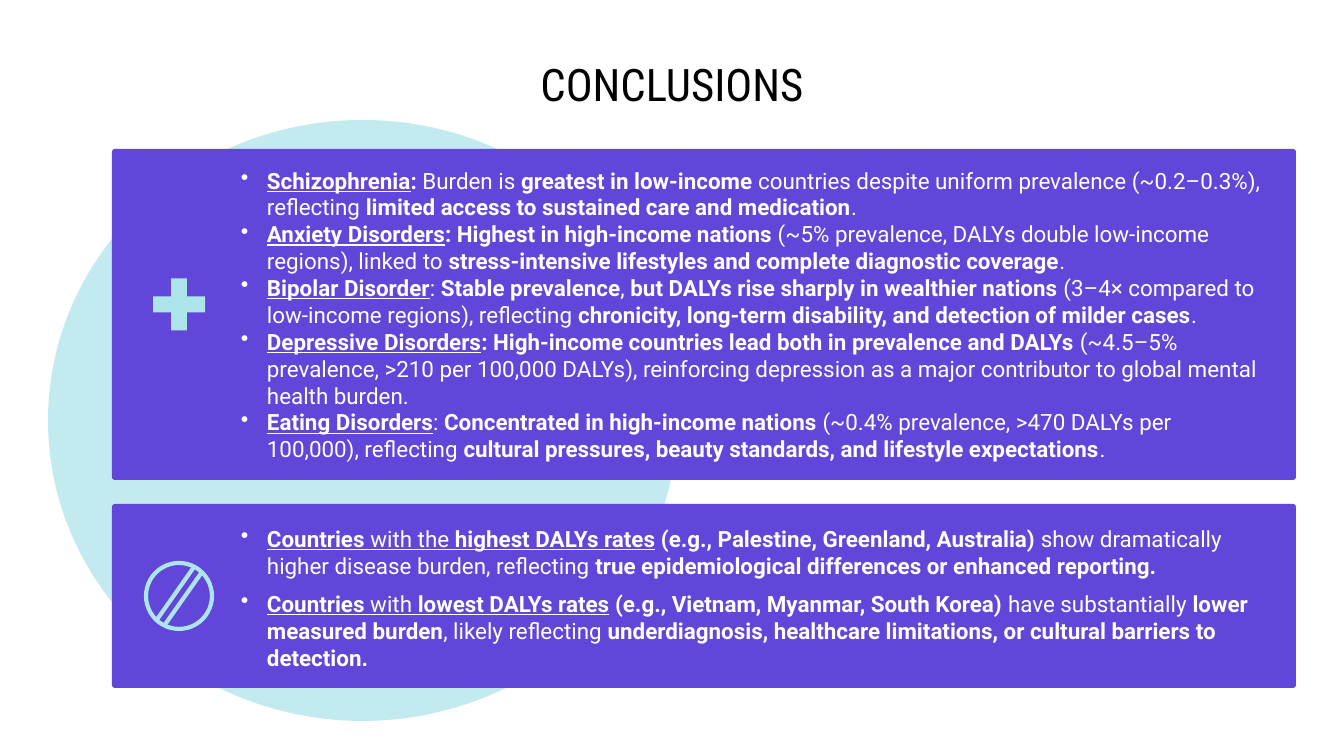
from pptx import Presentation
from pptx.dml.color import RGBColor
from pptx.enum.shapes import MSO_CONNECTOR, MSO_SHAPE
from pptx.enum.text import MSO_ANCHOR, PP_ALIGN
from pptx.oxml.ns import qn
from pptx.util import Emu, Pt
from lxml import etree

OVAL, ROUND, CROSS = MSO_SHAPE.OVAL, MSO_SHAPE.ROUNDED_RECTANGLE, MSO_SHAPE.CROSS
STRAIGHT = MSO_CONNECTOR.STRAIGHT
MIDDLE = MSO_ANCHOR.MIDDLE
LEFT, CENTER = PP_ALIGN.LEFT, PP_ALIGN.CENTER

PX = 914400 / 134.4
COLORS = {"ink": "000000", "white": "FFFFFF", "disc": "C3EBEF",
          "card": "6146D9", "icon": "ACE5EA"}
INSET = 13
INDENT = 26

# Each paragraph is a list of (style, words): b is bold, u is underlined.
DISORDERS = [
    [("bu", "Schizophrenia"), ("b", ": "), ("", "Burden is "),
     ("b", "greatest in low-income "),
     ("", "countries despite uniform prevalence (~0.2–0.3%), reflecting "),
     ("b", "limited access to sustained care and medication"), ("", ".")],
    [("bu", "Anxiety Disorders"), ("b", ": Highest in high-income nations "),
     ("", "(~5% prevalence, DALYs double low-income regions), linked to "),
     ("b", "stress-intensive lifestyles and complete diagnostic coverage"),
     ("", ".")],
    [("bu", "Bipolar Disorder"), ("", ": "), ("b", "Stable prevalence"),
     ("", ", "), ("b", "but DALYs rise sharply in wealthier nations "),
     ("", "(3–4× compared to low-income regions), reflecting "),
     ("b", "chronicity, long-term disability, and detection of milder cases"),
     ("", ".")],
    [("bu", "Depressive Disorders"),
     ("b", ": High-income countries lead both in prevalence and DALYs "),
     ("", "(~4.5–5% prevalence, >210 per 100,000 DALYs), reinforcing "
          "depression as a major contributor to global mental health burden.")],
    [("bu", "Eating Disorders"), ("", ": "),
     ("b", "Concentrated in high-income nations "),
     ("", "(~0.4% prevalence, >470 DALYs per 100,000), reflecting "),
     ("b", "cultural pressures, beauty standards, and lifestyle expectations"),
     ("", ".")],
]
COUNTRIES = [
    [("bu", "Countries "), ("u", "with the "), ("bu", "highest DALYs rates"),
     ("b", " (e.g., Palestine, Greenland, Australia) "),
     ("", "show dramatically higher disease burden, reflecting "),
     ("b", "true epidemiological differences or enhanced reporting.")],
    [("bu", "Countries"), ("u", " with "), ("bu", "lowest DALYs rates"),
     ("b", " (e.g., Vietnam, Myanmar, South Korea) "),
     ("", "have substantially "), ("b", "lower measured burden"),
     ("", ", likely reflecting "),
     ("b", "underdiagnosis, healthcare limitations, or cultural barriers "
           "to detection.")],
]


def px(n):
    return Emu(round(n * PX))


def rgb(name):
    return RGBColor.from_string(COLORS[name])


def add_shape(slide, kind, box, fill=None, line=None, adjust=None):
    shape = slide.shapes.add_shape(kind, *map(px, box))
    shape.shadow.inherit = False
    if fill:
        shape.fill.solid()
        shape.fill.fore_color.rgb = rgb(fill)
    else:
        shape.fill.background()
    if line:
        shape.line.color.rgb = rgb(line)
        shape.line.width = Pt(2.25)
    else:
        shape.line.fill.background()
    if adjust is not None:
        shape.adjustments[0] = adjust
    return shape


def add_bullet(para, color):
    props = para._p.get_or_add_pPr()
    props.set("marL", str(px(INDENT)))
    props.set("indent", str(-px(INDENT)))
    tint = etree.SubElement(props, qn("a:buClr"))
    etree.SubElement(tint, qn("a:srgbClr"), val=COLORS[color])
    etree.SubElement(props, qn("a:buChar"), char="•")


def add_text(slide, box, paras, font="Roboto", size=12, color="white",
             align=LEFT, bullet=False, after=0):
    frame = slide.shapes.add_textbox(*map(px, box)).text_frame
    frame.word_wrap = True
    frame.vertical_anchor = MIDDLE
    frame.margin_left = frame.margin_right = px(INSET)
    frame.margin_top = frame.margin_bottom = px(INSET)
    for i, runs in enumerate(paras):
        para = frame.add_paragraph() if i else frame.paragraphs[0]
        if bullet:
            add_bullet(para, color)
        para.alignment = align
        para.space_after = Pt(after)
        for style, words in runs:
            run = para.add_run()
            run.text = words
            run.font.name = font
            run.font.size = Pt(size)
            run.font.color.rgb = rgb(color)
            run.font.bold = "b" in style
            run.font.underline = "u" in style


def add_line(slide, start, end, color):
    line = slide.shapes.add_connector(STRAIGHT, *map(px, start + end))
    line.line.color.rgb = rgb(color)
    line.line.width = Pt(2.25)
    etree.SubElement(line._element.spPr, qn("a:effectLst"))


def draw_plus(slide, x, y):
    """Draw a plus centred on x, y."""
    size, bar = 52, 16
    add_shape(slide, CROSS, (x - size / 2, y - size / 2, size, size),
              fill="icon", adjust=(size - bar) / 2 / size)


def draw_pill(slide, x, y):
    """Draw a scored tablet centred on x, y."""
    size = 66
    add_shape(slide, OVAL, (x - size / 2, y - size / 2, size, size), line="icon")
    for dx, dy in ((-4, -2), (4, 3)):
        add_line(slide, (x + dx - 19, y + dy + 27),
                 (x + dx + 19, y + dy - 27), "icon")


def draw_card(slide, box, paras, icon, lift=0, drop=0, after=0):
    """Draw a card; lift raises its icon, drop lowers its text."""
    x, y, w, h = box
    add_shape(slide, ROUND, box, fill="card", adjust=3 / h)
    add_text(slide, (x + 116, y + drop, w - 136, h), paras,
             bullet=True, after=after)
    icon(slide, x + 67, y + h / 2 - lift)


def draw_title(slide, box, words):
    add_text(slide, box, [[("", words)]], font="Roboto Condensed", size=24,
             color="ink", align=CENTER)


def main():
    deck = Presentation()
    deck.slide_width, deck.slide_height = px(1344), px(756)
    slide = deck.slides.add_slide(deck.slide_layouts[6])
    draw_title(slide, (67, 60, 1210, 48), "CONCLUSIONS")
    add_shape(slide, OVAL, (48, 120, 629, 601), fill="disc")
    draw_card(slide, (112, 149, 1184, 331), DISORDERS, draw_plus, lift=10)
    draw_card(slide, (112, 504, 1184, 184), COUNTRIES, draw_pill,
              drop=2, after=6)
    deck.save("out.pptx")


if __name__ == "__main__":
    main()
